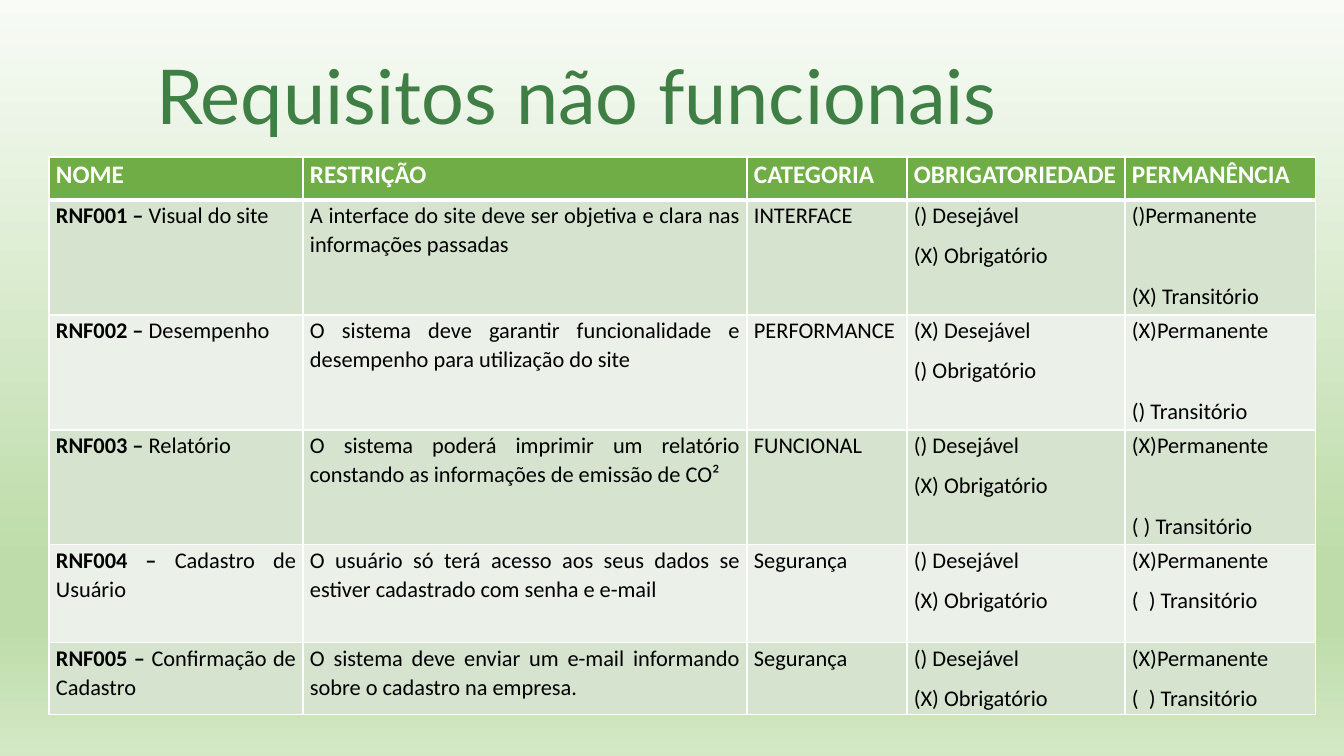
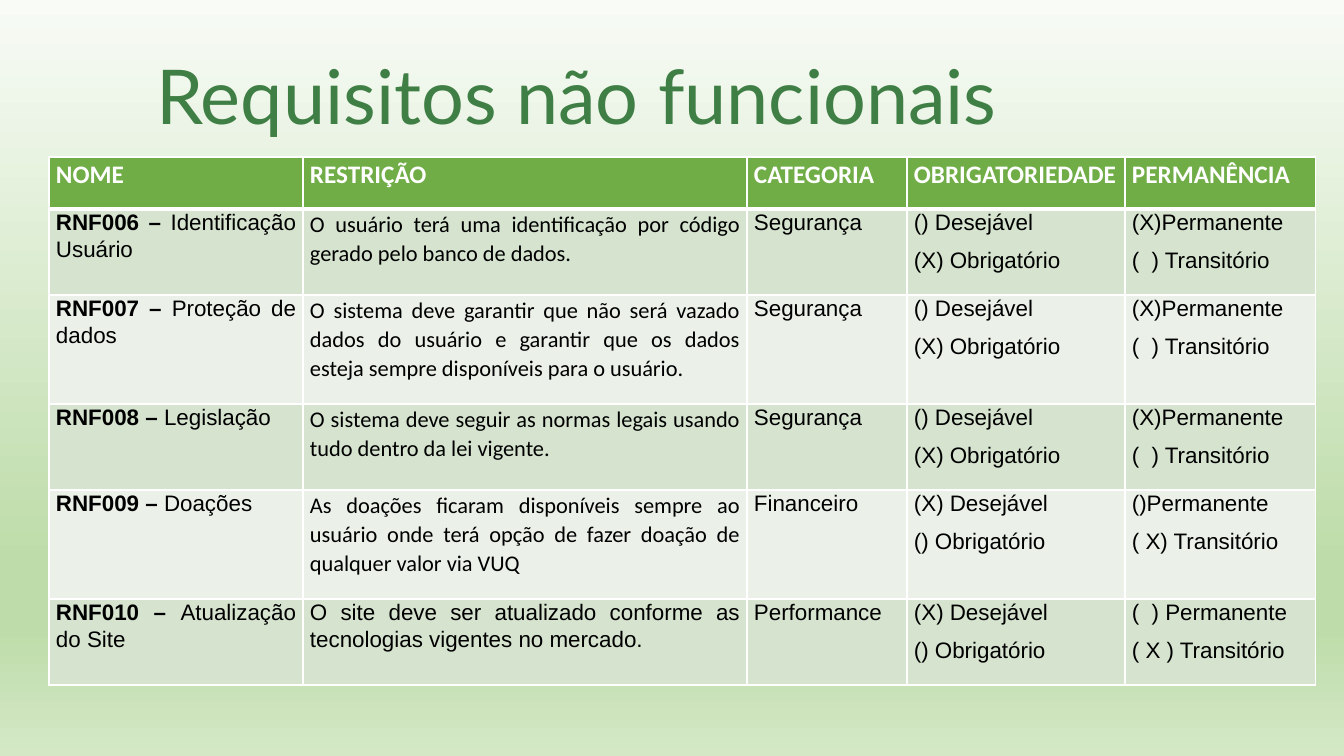
from copy import deepcopy
from typing import NamedTuple

from lxml.etree import SubElement
from pptx import Presentation
from pptx.dml.color import RGBColor
from pptx.enum.text import MSO_ANCHOR, MSO_AUTO_SIZE, PP_ALIGN
from pptx.oxml.ns import qn
from pptx.util import Emu, Pt

COLORS = {
    "title": "3F7E44",
    "header": "70AD47",
    "odd_row": "D5E3CF",
    "even_row": "EBF1E9",
    "white": "FFFFFF",
    "black": "000000",
}
GRADIENT = [(0, "F8FBF6"), (0.74, "BEDCAA"), (0.83, "BEDCAA"), (1, "D4E8C6")]
TITLE = "Requisitos não funcionais"
HEADERS = ["NOME", "RESTRIÇÃO", "CATEGORIA", "OBRIGATORIEDADE", "PERMANÊNCIA"]
COLUMN_WIDTHS = [254, 444, 160, 218, 191]
TITLE_BOX = (146, 44, 1052, 102)
TABLE_ORIGIN = (49, 157)
EMU_PER_PX = 914400 / 100.8
SPACE_AFTER = 8
WIDE_SPACE_AFTER = 37


class Requirement(NamedTuple):
    code: str
    name: str
    restriction: str
    category: str
    mandatory: bool
    permanence: tuple
    height: int
    permanence_gap: int = SPACE_AFTER
    restriction_font: str = "Calibri"


FIRST_REQUIREMENTS = [
    Requirement("RNF001", "Visual do site",
                "A interface do site deve ser objetiva e clara nas informações passadas",
                "INTERFACE", True, ("()Permanente", "(X) Transitório"), 115, WIDE_SPACE_AFTER),
    Requirement("RNF002", "Desempenho",
                "O sistema deve garantir funcionalidade e desempenho para utilização do site",
                "PERFORMANCE", False, ("(X)Permanente", "() Transitório"), 115, WIDE_SPACE_AFTER),
    Requirement("RNF003", "Relatório",
                "O sistema poderá imprimir um relatório constando as informações de emissão de CO²",
                "FUNCIONAL", True, ("(X)Permanente", "( ) Transitório"), 115, WIDE_SPACE_AFTER),
    Requirement("RNF004", "Cadastro de Usuário",
                "O usuário só terá acesso aos seus dados se estiver cadastrado com senha e e-mail",
                "Segurança", True, ("(X)Permanente", "(  ) Transitório"), 98),
    Requirement("RNF005", "Confirmação de Cadastro",
                "O sistema deve enviar um e-mail informando sobre o cadastro na empresa.",
                "Segurança", True, ("(X)Permanente", "(  ) Transitório"), 72),
]
SECOND_REQUIREMENTS = [
    Requirement("RNF006", "Identificação Usuário",
                "O usuário terá uma identificação por código gerado pelo banco de dados.",
                "Segurança", True, ("(X)Permanente", "(  ) Transitório"), 86),
    Requirement("RNF007", "Proteção de dados",
                "O sistema deve garantir que não será vazado dados do usuário e garantir "
                "que os dados esteja sempre disponíveis para o usuário.",
                "Segurança", True, ("(X)Permanente", "(  ) Transitório"), 109),
    Requirement("RNF008", "Legislação",
                "O sistema deve seguir as normas legais usando tudo dentro da lei vigente.",
                "Segurança", True, ("(X)Permanente", "(  ) Transitório"), 86),
    Requirement("RNF009", "Doações",
                "As doações ficaram disponíveis sempre ao usuário onde terá opção de fazer "
                "doação de qualquer valor via VUQ",
                "Financeiro", False, ("()Permanente", "( X) Transitório"), 109),
    Requirement("RNF010", "Atualização do Site",
                "O site deve ser atualizado conforme as tecnologias vigentes no mercado.",
                "Performance", False, ("(  ) Permanente", "( X ) Transitório"), 86,
                restriction_font="Arial"),
]


def px(value):
    return Emu(round(value * EMU_PER_PX))


def color(name):
    return RGBColor.from_string(COLORS[name])


def add_run(paragraph, text, font, size, color_name, bold=False):
    run = paragraph.add_run()
    run.text = text
    run.font.name = font
    run.font.size = Pt(size)
    run.font.bold = bold
    run.font.color.rgb = color(color_name)


def set_background(master):
    """Give every slide the green vertical gradient."""
    fill = master.background.fill
    fill.gradient()
    fill.gradient_angle = 270
    stop_list = master.element.find(".//" + qn("a:gsLst"))
    while len(stop_list) < len(GRADIENT):
        stop_list.append(deepcopy(stop_list[0]))
    for stop, (position, hex_color) in zip(fill.gradient_stops, GRADIENT):
        stop.position = position
        stop.color.rgb = RGBColor.from_string(hex_color)


def set_borders(cell, top, bottom):
    properties = cell._tc.get_or_add_tcPr()
    widths = {"a:lnL": 1, "a:lnR": 1, "a:lnT": top, "a:lnB": bottom}
    for index, (tag, width) in enumerate(widths.items()):
        line = SubElement(properties, qn(tag), w=str(Pt(width)))
        fill = SubElement(line, qn("a:solidFill"))
        SubElement(fill, qn("a:srgbClr"), val=COLORS["white"])
        properties.insert(index, line)


def fill_cell(cell, lines, fill_name, size, text_color, top=1, bottom=1, gap=SPACE_AFTER):
    """Each line is a list of (text, font, bold) runs; gap follows the first line."""
    cell.fill.solid()
    cell.fill.fore_color.rgb = color(fill_name)
    set_borders(cell, top, bottom)
    cell.margin_left = cell.margin_right = px(7)
    cell.margin_top = cell.margin_bottom = 0
    cell.vertical_anchor = MSO_ANCHOR.TOP
    frame = cell.text_frame
    for index, runs in enumerate(lines):
        paragraph = frame.add_paragraph() if index else frame.paragraphs[0]
        paragraph.alignment = PP_ALIGN.JUSTIFY
        paragraph.line_spacing = 1.07
        paragraph.space_after = Pt(SPACE_AFTER if index else gap)
        for text, font, bold in runs:
            add_run(paragraph, text, font, size, text_color, bold)


def add_title(slide, box):
    title = slide.shapes.title
    title.left, title.top, title.width, title.height = map(px, box)
    frame = title.text_frame
    frame.word_wrap = True
    frame.auto_size = MSO_AUTO_SIZE.SHAPE_TO_FIT_TEXT
    frame.vertical_anchor = MSO_ANCHOR.TOP
    paragraph = frame.paragraphs[0]
    paragraph.alignment = PP_ALIGN.LEFT
    add_run(paragraph, TITLE, "Lato", 54, "title")


def requirement_cells(requirement, font):
    """Return the lines of the five cells in one row."""
    marks = ("()", "(X)") if requirement.mandatory else ("(X)", "()")
    obligation = [f"{mark} {label}" for mark, label in zip(marks, ("Desejável", "Obrigatório"))]
    return [
        [[(f"{requirement.code} – ", font, True), (requirement.name, font, False)]],
        [[(requirement.restriction, requirement.restriction_font, False)]],
        [[(requirement.category, font, False)]],
        [[(line, font, False)] for line in obligation],
        [[(line, font, False)] for line in requirement.permanence],
    ]


def add_requirements_table(slide, origin, requirements, header_height, font):
    heights = [header_height] + [requirement.height for requirement in requirements]
    box = (*origin, sum(COLUMN_WIDTHS), sum(heights))
    table = slide.shapes.add_table(len(heights), len(HEADERS), *map(px, box)).table
    for column, width in zip(table.columns, COLUMN_WIDTHS):
        column.width = px(width)
    for row, height in zip(table.rows, heights):
        row.height = px(height)

    # Header row
    for index, header in enumerate(HEADERS):
        fill_cell(table.cell(0, index), [[(header, "Calibri", True)]],
                  "header", 18, "white", bottom=3)

    # Requirement rows
    for row, requirement in enumerate(requirements, start=1):
        fill_name = "odd_row" if row % 2 else "even_row"
        for index, lines in enumerate(requirement_cells(requirement, font)):
            gap = requirement.permanence_gap if index == 4 else SPACE_AFTER
            fill_cell(table.cell(row, index), lines, fill_name, 16, "black",
                      top=3 if row == 1 else 1, gap=gap)


def add_requirements_slide(presentation, requirements, header_height, font):
    slide = presentation.slides.add_slide(presentation.slide_layouts.get_by_name("Title Only"))
    add_title(slide, TITLE_BOX)
    add_requirements_table(slide, TABLE_ORIGIN, requirements, header_height, font)


def main():
    presentation = Presentation()
    presentation.slide_width = px(1344)
    presentation.slide_height = px(756)
    set_background(presentation.slide_master)
    add_requirements_slide(presentation, FIRST_REQUIREMENTS, 43, "Calibri")
    add_requirements_slide(presentation, SECOND_REQUIREMENTS, 52, "Arial")
    presentation.save("out.pptx")


if __name__ == "__main__":
    main()
